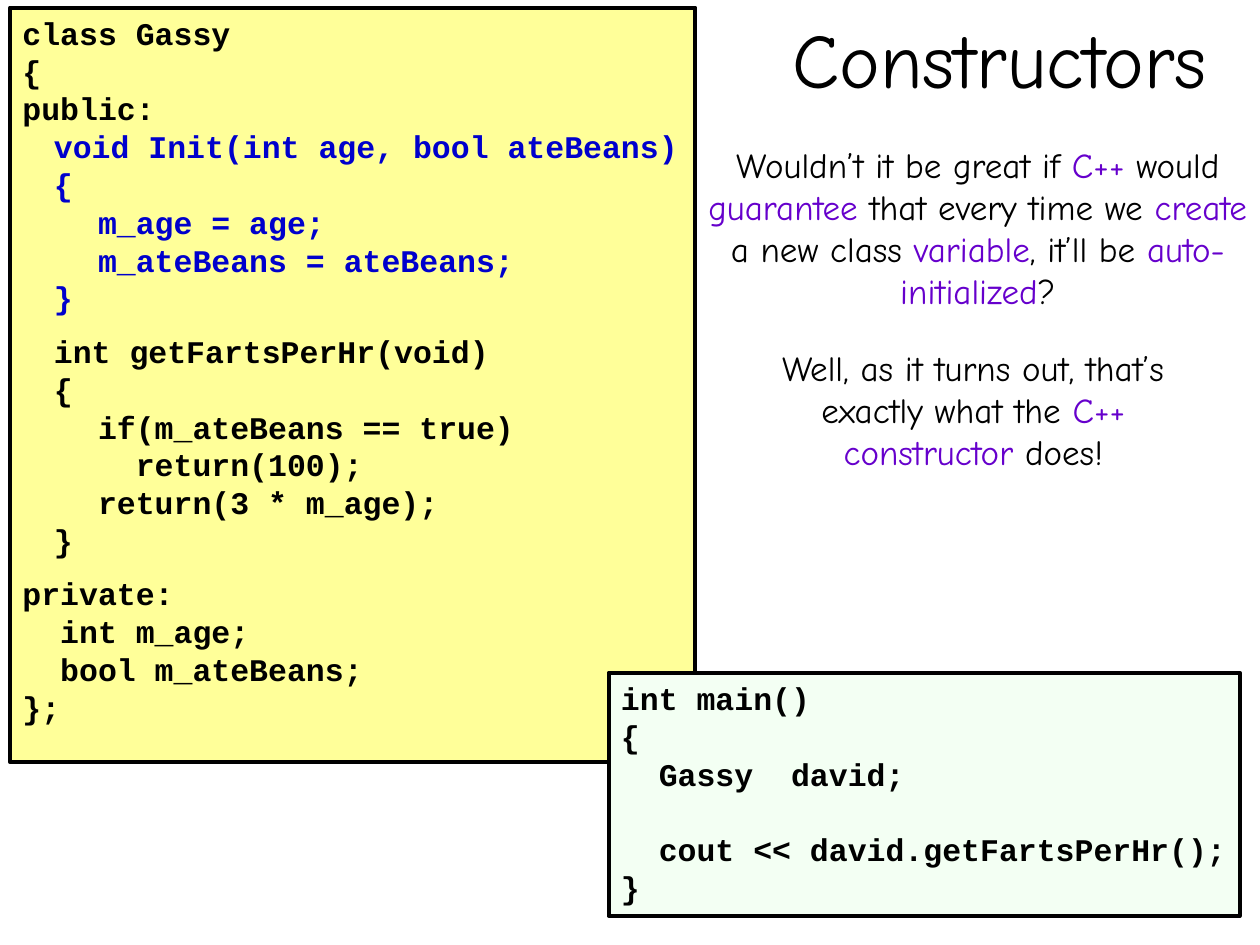
from pptx import Presentation
from pptx.dml.color import RGBColor
from pptx.enum.shapes import MSO_SHAPE as Shape
from pptx.enum.text import MSO_ANCHOR as Anchor, PP_ALIGN as Align
from pptx.oxml import parse_xml
from pptx.oxml.ns import nsdecls
from pptx.util import Emu, Pt

PX = 9144
BLACK, BLUE, PURPLE = "000000", "0000CC", "6600CC"

CLASS_OPENING = ["class Gassy", "{", "public:"]
INIT_METHOD = [
    "\tvoid Init(int age, bool ateBeans)",
    "\t{",
    "    m_age = age;",
    "    m_ateBeans = ateBeans;",
    "\t}",
]
RATE_METHOD = [
    "\tint getFartsPerHr(void)",
    "\t{",
    "    if(m_ateBeans == true)",
    "      return(100);",
    "    return(3 * m_age);",
    "\t}",
]
PRIVATE_PART = ["private:", "  int m_age;", "  bool m_ateBeans;", "};"]
MAIN_PROGRAM = [
    "int main()",
    "{",
    "  Gassy  david;",
    "   ",
    "  cout << david.getFartsPerHr();",
    "}",
]
QUESTION = [
    ("Wouldn’t it be great if ", BLACK), ("C++", PURPLE), (" would ", BLACK),
    ("guarantee", PURPLE), (" that every time we ", BLACK), ("create", PURPLE),
    (" a new class ", BLACK), ("variable", PURPLE), (", it’ll be ", BLACK),
    ("auto-initialized", PURPLE), ("?", BLACK),
]
ANSWER = [
    ("Well, as it turns out, that’s\vexactly what the ", BLACK),
    ("C++\vconstructor ", PURPLE), ("does!", BLACK),
]


def px(*lengths):
    """Turn lengths in hundredths of an inch into EMU."""
    return [Emu(length * PX) for length in lengths]


def color(hex_code):
    """Return the colour for a hex string."""
    return RGBColor.from_string(hex_code)


def write(paragraph, runs, size=20, font="Comic Neue", bold=False, align=Align.CENTER, before=0, tab=None):
    """Fill a paragraph with coloured runs in one format."""
    if tab:
        position, = px(tab)
        paragraph._p.get_or_add_pPr().append(parse_xml(
            f'<a:tabLst {nsdecls("a")}><a:tab pos="{position}" algn="l"/></a:tabLst>'))
    paragraph.alignment = align
    paragraph.space_before = Pt(before)
    paragraph.font.size = Pt(size)
    for text, hex_code in runs:
        first_part, *later_parts = text.split("\v")
        for index, part in enumerate([first_part, *later_parts]):
            if index:
                paragraph.add_line_break()
            run = paragraph.add_run()
            run.text = part
            run.font.name, run.font.size, run.font.bold = font, Pt(size), bold
            run.font.color.rgb = color(hex_code)


def add_title(slide, text, bounds):
    """Place and format the slide title."""
    title = slide.shapes.title
    title.left, title.top, title.width, title.height = px(*bounds)
    title.text_frame.vertical_anchor = Anchor.MIDDLE
    write(title.text_frame.paragraphs[0], [(text, BLACK)], size=44)


def add_remark(slide, runs, bounds):
    """Add a centred remark with highlighted words."""
    frame = slide.shapes.add_textbox(*px(*bounds)).text_frame
    frame.word_wrap = True
    write(frame.paragraphs[0], runs)


def add_code(slide, sections, bounds, fill):
    """Add a code panel whose (lines, colour, gap before) sections follow each other."""
    panel = slide.shapes.add_shape(Shape.RECTANGLE, *px(*bounds))
    panel.shadow.inherit = False
    panel.fill.solid()
    panel.fill.fore_color.rgb = color(fill)
    panel.line.color.rgb = color(BLACK)
    panel.line.width = Pt(2.25)
    frame = panel.text_frame
    frame.word_wrap = True
    frame.vertical_anchor = Anchor.TOP
    paragraph = frame.paragraphs[0]
    for section, (lines, hex_code, gap) in enumerate(sections):
        for number, line in enumerate(lines):
            if section or number:
                paragraph = frame.add_paragraph()
            write(paragraph, [(line, hex_code)], size=18, font="Courier New", bold=True,
                  align=Align.LEFT, before=0 if number else gap, tab=25)


def main():
    """Build the slide and save it."""
    deck = Presentation()
    deck.slide_width, deck.slide_height = px(1000, 750)
    slide = deck.slides.add_slide(deck.slide_layouts[5])
    class_sections = [(CLASS_OPENING, BLACK, 0), (INIT_METHOD, BLUE, 0),
                      (RATE_METHOD, BLACK, 9), (PRIVATE_PART, BLACK, 9)]
    add_code(slide, class_sections, (8, 6, 544, 599), "FFFF99")
    add_title(slide, "Constructors", (581, -17, 425, 125))
    add_remark(slide, QUESTION, (552, 109, 448, 145))
    add_remark(slide, ANSWER, (561, 270, 423, 111))
    add_code(slide, [(MAIN_PROGRAM, BLACK, 0)], (483, 534, 501, 193), "F3FFF3")
    deck.save("out.pptx")


if __name__ == "__main__":
    main()
